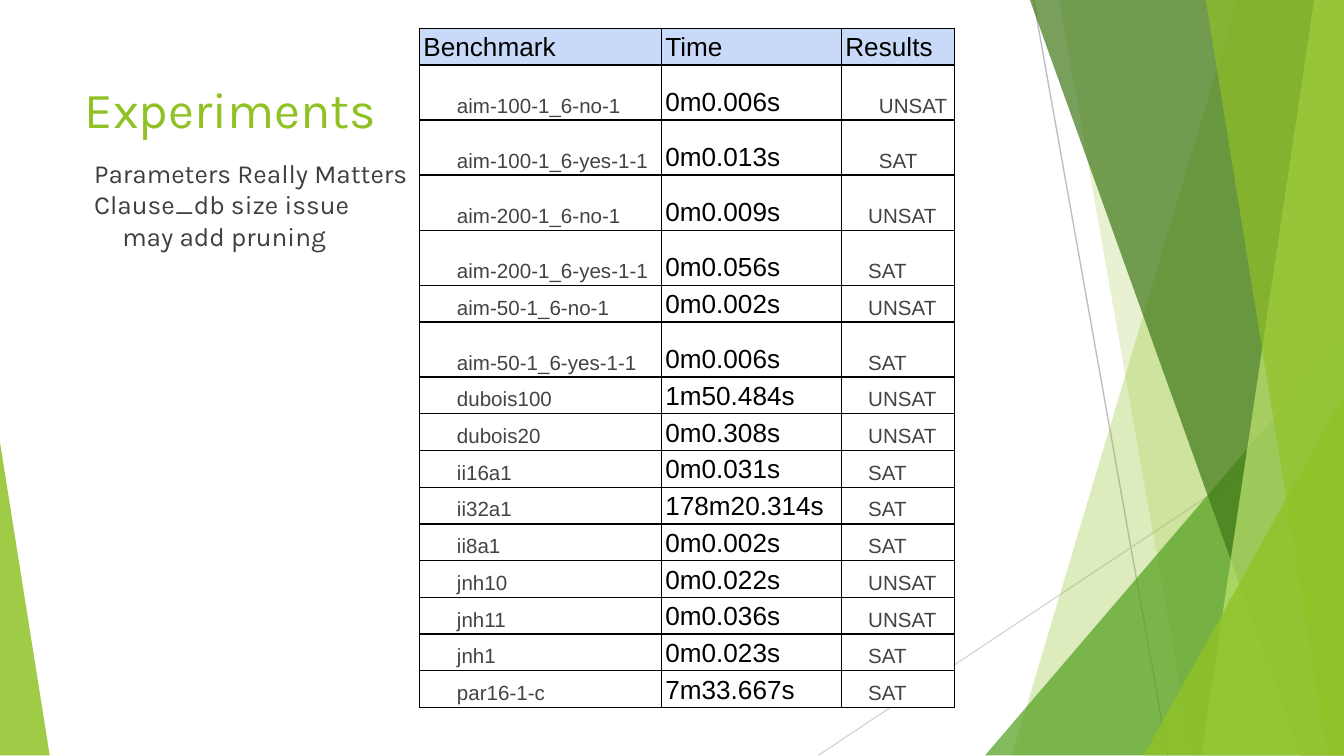
from lxml.etree import SubElement
from pptx import Presentation
from pptx.dml.color import RGBColor
from pptx.enum.shapes import MSO_CONNECTOR, MSO_SHAPE
from pptx.enum.text import MSO_ANCHOR
from pptx.oxml.ns import qn
from pptx.util import Inches, Pt

COLORS = {
    "lime": "90C226", "green": "54A021", "forest": "3F7818", "pale": "BFE471",
    "grey": "BFBFBF", "light_grey": "D8D8D8", "body": "3F3F3F", "cell": "434343",
    "black": "000000", "white": "FFFFFF", "header": "C9DAF8",
}
WIDTH, HEIGHT = 10, 5.62
COLUMNS = [1.8, 1.34, 0.84]
HEADER_ROW, TALL_ROW, SHORT_ROW = 0.27, 0.41, 0.26
TALL_ROWS = {1, 2, 3, 4, 6}
ROWS = [
    ("Benchmark", "Time", "Results"),
    ("aim-100-1_6-no-1", "0m0.006s", "UNSAT"),
    ("aim-100-1_6-yes-1-1", "0m0.013s", "SAT"),
    ("aim-200-1_6-no-1", "0m0.009s", "UNSAT"),
    ("aim-200-1_6-yes-1-1", "0m0.056s", "SAT"),
    ("aim-50-1_6-no-1", "0m0.002s", "UNSAT"),
    ("aim-50-1_6-yes-1-1", "0m0.006s", "SAT"),
    ("dubois100", "1m50.484s", "UNSAT"),
    ("dubois20", "0m0.308s", "UNSAT"),
    ("ii16a1", "0m0.031s", "SAT"),
    ("ii32a1", "178m20.314s", "SAT"),
    ("ii8a1", "0m0.002s", "SAT"),
    ("jnh10", "0m0.022s", "UNSAT"),
    ("jnh11", "0m0.036s", "UNSAT"),
    ("jnh1", "0m0.023s", "SAT"),
    ("par16-1-c", "7m33.667s", "SAT"),
]


def rgb(name):
    return RGBColor.from_string(COLORS[name])


def paint(sp, color, opacity):
    """Give a shape a translucent fill, with no line or shadow."""
    sp.shadow.inherit = False
    sp.line.fill.background()
    sp.fill.solid()
    sp.fill.fore_color.rgb = rgb(color)
    srgb = sp.fill._xPr.find(qn("a:solidFill")).find(qn("a:srgbClr"))
    SubElement(srgb, qn("a:alpha"), val=str(opacity * 1000))


def add_line(s, x1, y1, x2, y2, color):
    line = s.shapes.add_connector(
        MSO_CONNECTOR.STRAIGHT, Inches(x1), Inches(y1), Inches(x2), Inches(y2))
    line.line.color.rgb = rgb(color)
    line.line.width = Pt(0.75)
    SubElement(line._element.spPr, qn("a:effectLst"))


def add_panel(s, top_x, bottom_x, color, opacity):
    """Fill from a slanted left edge to the right side of the slide."""
    top = -0.01
    corners = [(WIDTH, top), (WIDTH, HEIGHT), (bottom_x, HEIGHT)]
    builder = s.shapes.build_freeform(Inches(top_x), Inches(top))
    builder.add_line_segments([(Inches(x), Inches(y)) for x, y in corners])
    paint(builder.convert_to_shape(), color, opacity)


def add_triangle(s, x, y, w, apex, color, opacity):
    """Stand a triangle on the bottom edge of the slide."""
    sp = s.shapes.add_shape(MSO_SHAPE.ISOSCELES_TRIANGLE, Inches(x), Inches(y),
                            Inches(w), Inches(HEIGHT - y))
    sp.adjustments[0] = apex
    paint(sp, color, opacity)


def set_indent(p, left, first):
    pPr = p._p.get_or_add_pPr()
    pPr.set("marL", str(Inches(left)))
    pPr.set("indent", str(Inches(first)))


def format_runs(p, font, size, color):
    for r in p.runs:
        r.font.name = font
        r.font.size = Pt(size)
        r.font.color.rgb = rgb(color)


def set_frame(tf, anchor):
    tf.word_wrap = True
    tf.vertical_anchor = anchor
    tf.margin_left = tf.margin_right = Inches(0.07)
    tf.margin_top = tf.margin_bottom = Inches(0.07)


def add_title(s, text):
    title = s.shapes.title
    title.left, title.top = Inches(0.56), Inches(0.5)
    title.width, title.height = Inches(7.05), Inches(0.6)
    tf = title.text_frame
    tf.text = text
    set_frame(tf, MSO_ANCHOR.BOTTOM)
    p = tf.paragraphs[0]
    p.alignment = 1
    format_runs(p, "Karla", 27, "lime")


def add_notes_text(s, text):
    box = s.shapes.add_textbox(Inches(0.56), Inches(1.1), Inches(7.05), Inches(3.86))
    tf = box.text_frame
    tf.text = text
    set_frame(tf, MSO_ANCHOR.TOP)
    for p in tf.paragraphs:
        set_indent(p, 0.28, -0.21)
        format_runs(p, "Karla", 14, "body")


def add_borders(cell):
    tcPr = cell._tc.get_or_add_tcPr()
    for side in ("a:lnL", "a:lnR", "a:lnT", "a:lnB"):
        ln = SubElement(tcPr, qn(side), w=str(Pt(0.75)))
        SubElement(SubElement(ln, qn("a:solidFill")), qn("a:srgbClr"),
                   val=COLORS["black"])


def fill_cell(cell, text, row, col):
    cell.text = text
    cell.vertical_anchor = MSO_ANCHOR.BOTTOM
    cell.margin_left = cell.margin_right = Inches(0.03)
    cell.margin_top = cell.margin_bottom = Inches(0.02)
    add_borders(cell)
    cell.fill.solid()
    cell.fill.fore_color.rgb = rgb("white" if row else "header")
    p = cell.text_frame.paragraphs[0]
    if row == 0 or col == 1:
        format_runs(p, "Arial", 14, "black")
    else:
        set_indent(p, 0, 0.25 if col == 0 or row < 3 else 0.17)
        p.line_spacing = 1.15
        format_runs(p, "Arial", 11, "cell")


def add_results_table(s):
    heights = [TALL_ROW if i in TALL_ROWS else SHORT_ROW for i in range(len(ROWS))]
    heights[0] = HEADER_ROW
    table = s.shapes.add_table(
        len(ROWS), len(COLUMNS), Inches(3.12), Inches(0.21),
        Inches(sum(COLUMNS)), Inches(sum(heights))).table
    for column, width in zip(table.columns, COLUMNS):
        column.width = Inches(width)
    for i, (values, height) in enumerate(zip(ROWS, heights)):
        table.rows[i].height = Inches(height)
        for j, value in enumerate(values):
            fill_cell(table.cell(i, j), value, i, j)


def add_backdrop(s):
    add_line(s, 7.69, 0, 8.69, HEIGHT, "grey")
    add_line(s, WIDTH, 3.02, 6.09, HEIGHT, "light_grey")
    add_panel(s, 9.21, 7.53, "lime", 30)
    add_panel(s, 7.88, 8.87, "lime", 20)
    add_triangle(s, 7.33, 2.5, 2.67, 1, "green", 72)
    add_panel(s, 7.66, 9.68, "forest", 70)
    add_panel(s, 9.78, 8.94, "pale", 70)
    add_panel(s, 8.97, 9.88, "lime", 65)
    add_triangle(s, 8.51, 2.94, 1.49, 1, "lime", 80)
    add_triangle(s, 0, 3.29, 0.37, 0, "lime", 85)


def main():
    prs = Presentation()
    prs.slide_width = Inches(WIDTH)
    prs.slide_height = Inches(WIDTH * 9 / 16)
    s = prs.slides.add_slide(prs.slide_layouts[5])
    add_backdrop(s)
    add_title(s, "Experiments")
    add_notes_text(s, "Parameters Really Matters\nClause_db size issue\vmay add pruning")
    add_results_table(s)
    prs.save("out.pptx")


if __name__ == "__main__":
    main()
